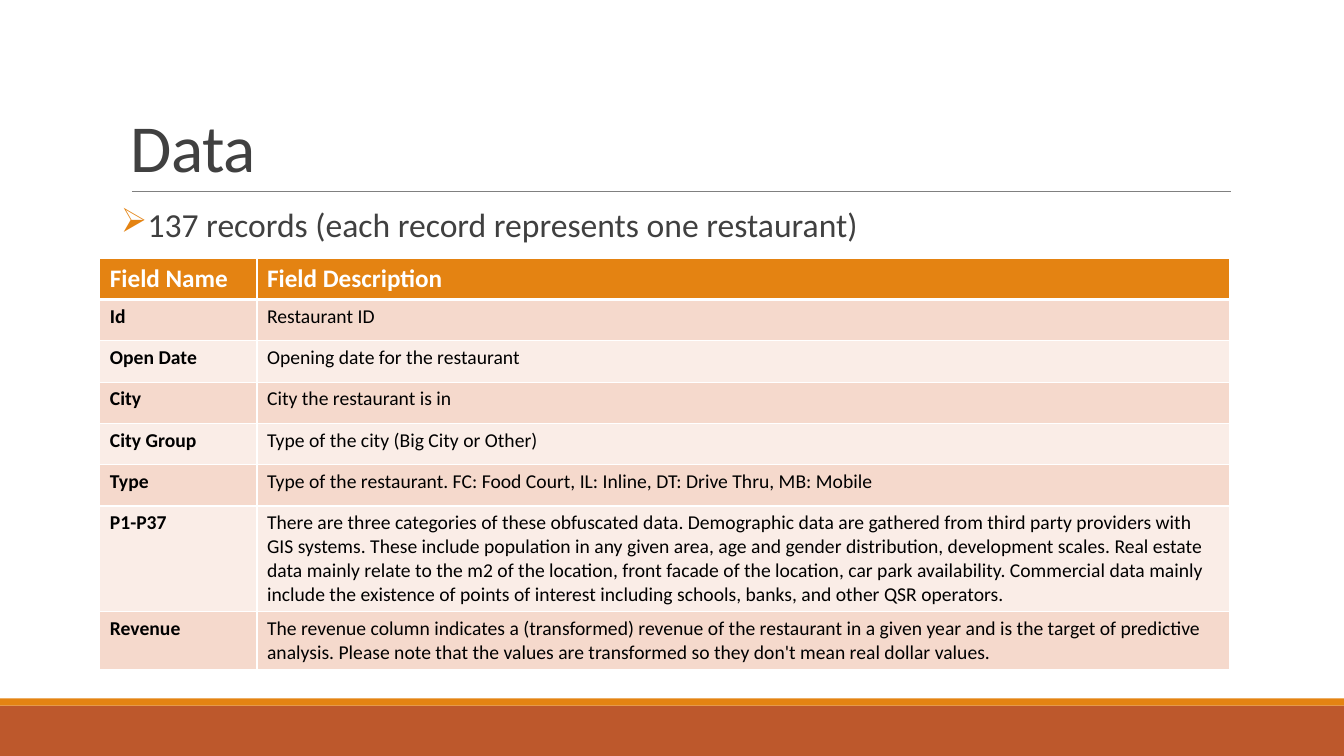
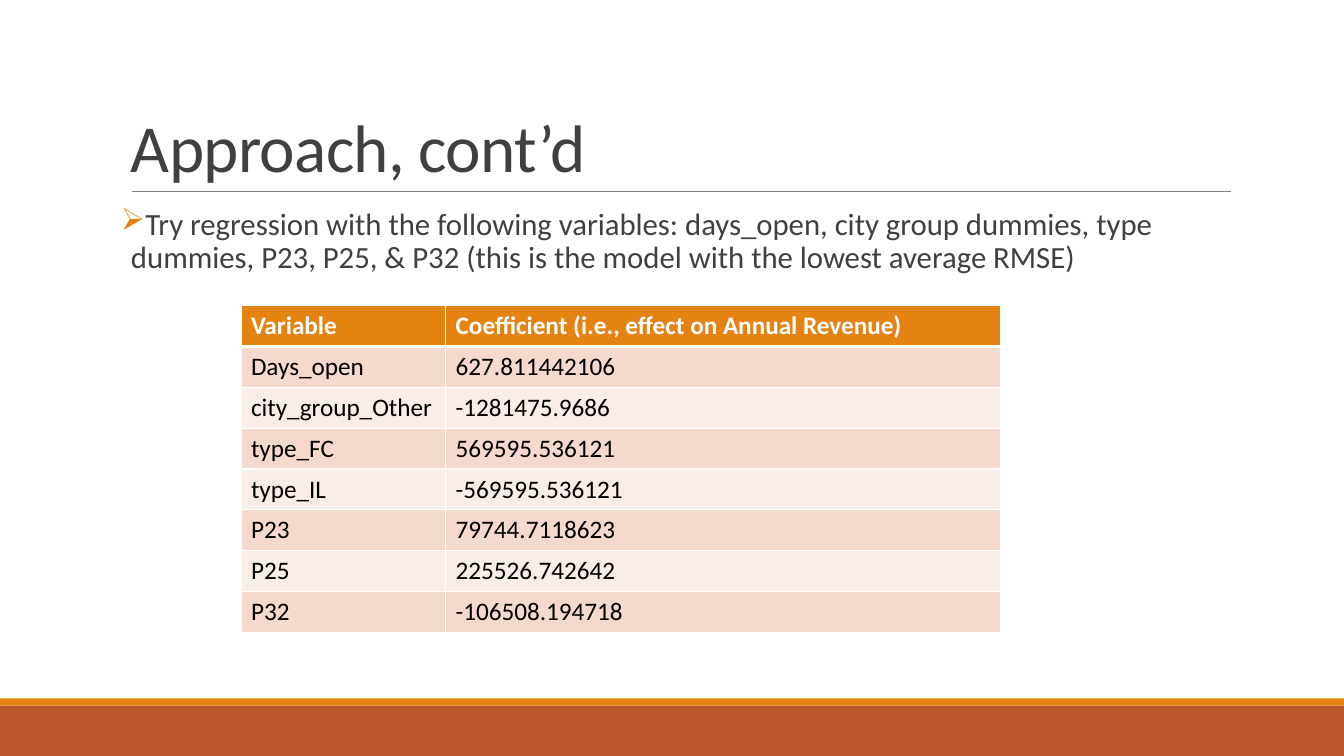
from dataclasses import dataclass

from lxml.etree import SubElement
from pptx import Presentation
from pptx.dml.color import RGBColor
from pptx.enum.shapes import MSO_CONNECTOR, MSO_SHAPE
from pptx.enum.text import MSO_ANCHOR
from pptx.oxml.ns import qn
from pptx.util import Pt


@dataclass(frozen=True)
class Theme:
    """Colours, type sizes and page measures shared by the slides."""

    font: str = "Calibri"
    text: str = "404040"
    ink: str = "000000"
    white: str = "FFFFFF"
    rule: str = "808080"
    accent: str = "E48312"
    band: str = "BD582C"
    row_fills: tuple = ("F5D9CC", "FAEDE7")
    title_size: float = 48
    header_size: float = 18
    width: float = 960
    height: float = 540
    left: float = 86.4
    text_width: float = 792


THEME = Theme()

DATA_FIELDS = [
    ("Field Name", "Field Description"),
    ("Id", "Restaurant ID"),
    ("Open Date", "Opening date for the restaurant"),
    ("City", "City the restaurant is in"),
    ("City Group", "Type of the city (Big City or Other)"),
    ("Type", "Type of the restaurant. FC: Food Court, IL: Inline, DT: Drive Thru, MB: Mobile"),
    ("P1-P37",
     "There are three categories of these obfuscated data. Demographic data are gathered "
     "from third party providers with GIS systems. These include population in any given "
     "area, age and gender distribution, development scales. Real estate data mainly relate "
     "to the m2 of the location, front facade of the location, car park availability. "
     "Commercial data mainly include the existence of points of interest including schools, "
     "banks, and other QSR operators."),
    ("Revenue",
     "The revenue column indicates a (transformed) revenue of the restaurant in a given year "
     "and is the target of predictive analysis. Please note that the values are transformed "
     "so they don't mean real dollar values."),
]

COEFFICIENTS = [
    ("Variable", "Coefficient (i.e., effect on Annual Revenue)"),
    ("Days_open", "627.811442106"),
    ("city_group_Other", "-1281475.9686"),
    ("type_FC", "569595.536121"),
    ("type_IL", "-569595.536121"),
    ("P23", "79744.7118623"),
    ("P25", "225526.742642"),
    ("P32", "-106508.194718"),
]


def add_run(paragraph, text, size, color, bold=False):
    """Append a formatted run to a paragraph."""
    run = paragraph.add_run()
    run.text = text
    run.font.name = THEME.font
    run.font.size = Pt(size)
    run.font.bold = bold
    run.font.color.rgb = RGBColor.from_string(color)
    return run


def add_band(slide, top, height, color):
    """Draw a full-width footer band."""
    band = slide.shapes.add_shape(
        MSO_SHAPE.RECTANGLE, Pt(0), Pt(top), Pt(THEME.width), Pt(height))
    band.shadow.inherit = False
    band.fill.solid()
    band.fill.fore_color.rgb = RGBColor.from_string(color)
    band.line.fill.background()


def add_title_rule(slide):
    """Draw the thin line under the title."""
    rule = slide.shapes.add_connector(
        MSO_CONNECTOR.STRAIGHT, Pt(94.3), Pt(136.8), Pt(879.1), Pt(136.8))
    rule.line.color.rgb = RGBColor.from_string(THEME.rule)
    rule.line.width = Pt(0.5)
    SubElement(rule.element.spPr, qn("a:effectLst"))


def add_text_frame(slide, top, height):
    """Add a wrapping text box in the main column and return its frame."""
    box = slide.shapes.add_textbox(
        Pt(THEME.left), Pt(top), Pt(THEME.text_width), Pt(height))
    box.text_frame.word_wrap = True
    return box.text_frame


def add_title(slide, text):
    """Add the bottom-anchored slide title."""
    frame = add_text_frame(slide, 22.3, 114.5)
    frame.vertical_anchor = MSO_ANCHOR.BOTTOM
    paragraph = frame.paragraphs[0]
    paragraph.line_spacing = 0.85
    run = add_run(paragraph, text, THEME.title_size, THEME.text)
    run.font.element.set("spc", "-50") if hasattr(run.font, "element") else run._r.get_or_add_rPr().set("spc", "-50")


def add_bullet(slide, text, size):
    """Add the arrow-bulleted statement under the title."""
    frame = add_text_frame(slide, 145.4, 316.8)
    frame.margin_left = frame.margin_right = Pt(0)
    paragraph = frame.paragraphs[0]
    paragraph.line_spacing = 0.9
    paragraph.space_before = Pt(12)
    paragraph.space_after = Pt(2)
    properties = paragraph._p.get_or_add_pPr()
    properties.set("marL", str(Pt(7.2)))
    properties.set("indent", str(-Pt(7.2)))
    bullet_color = SubElement(properties, qn("a:buClr"))
    SubElement(bullet_color, qn("a:srgbClr"), val=THEME.accent)
    SubElement(properties, qn("a:buChar"), char="➢")
    add_run(paragraph, text, size, THEME.text)


def set_borders(cell, top, bottom):
    """Give a cell white borders with the given top and bottom widths."""
    properties = cell._tc.get_or_add_tcPr()
    for side, width in (("L", 1), ("R", 1), ("T", top), ("B", bottom)):
        line = SubElement(properties, qn(f"a:ln{side}"), w=str(Pt(width)))
        fill = SubElement(line, qn("a:solidFill"))
        SubElement(fill, qn("a:srgbClr"), val=THEME.white)


def add_table(slide, left, top, columns, heights, rows, size, bold_labels=False):
    """Add a table with an accent header and alternating row fills."""
    table = slide.shapes.add_table(
        len(rows), len(columns), Pt(left), Pt(top),
        Pt(sum(columns)), Pt(sum(heights))).table
    table.horz_banding = False
    for column, width in zip(table.columns, columns):
        column.width = Pt(width)
    for row_index, values in enumerate(rows):
        table.rows[row_index].height = Pt(heights[row_index])
        header = row_index == 0
        fill = THEME.accent if header else THEME.row_fills[(row_index - 1) % 2]
        for column_index, text in enumerate(values):
            cell = table.cell(row_index, column_index)
            set_borders(cell, 3 if row_index == 1 else 1, 3 if header else 1)
            cell.fill.solid()
            cell.fill.fore_color.rgb = RGBColor.from_string(fill)
            add_run(cell.text_frame.paragraphs[0], text,
                    THEME.header_size if header else size,
                    THEME.white if header else THEME.ink,
                    header or (bold_labels and column_index == 0))


def add_content_slide(presentation, title, statement, statement_size):
    """Add a slide with the shared bands, title, rule and statement."""
    slide = presentation.slides.add_slide(presentation.slide_layouts[6])
    add_band(slide, 504, 36, THEME.band)
    add_band(slide, 498.9, 5.1, THEME.accent)
    add_title_rule(slide)
    add_title(slide, title)
    add_bullet(slide, statement, statement_size)
    return slide


def main():
    """Build and save the presentation."""
    presentation = Presentation()
    presentation.slide_width = Pt(THEME.width)
    presentation.slide_height = Pt(THEME.height)

    data_slide = add_content_slide(
        presentation, "Data", "137 records (each record represents one restaurant)", 24)
    add_table(data_slide, 71.3, 184.5, [112.3, 694.8], [29.5] * 6 + [75.6, 41],
              DATA_FIELDS, 14, bold_labels=True)

    approach_slide = add_content_slide(
        presentation, "Approach, cont’d",
        "Try regression with the following variables: days_open, city group dummies, type "
        "dummies, P23, P25, & P32 (this is the model with the lowest average RMSE)", 22)
    add_table(approach_slide, 172.1, 218.2, [146.2, 396.7], [29.2] * len(COEFFICIENTS),
              COEFFICIENTS, 18)

    presentation.save("out.pptx")


if __name__ == "__main__":
    main()
